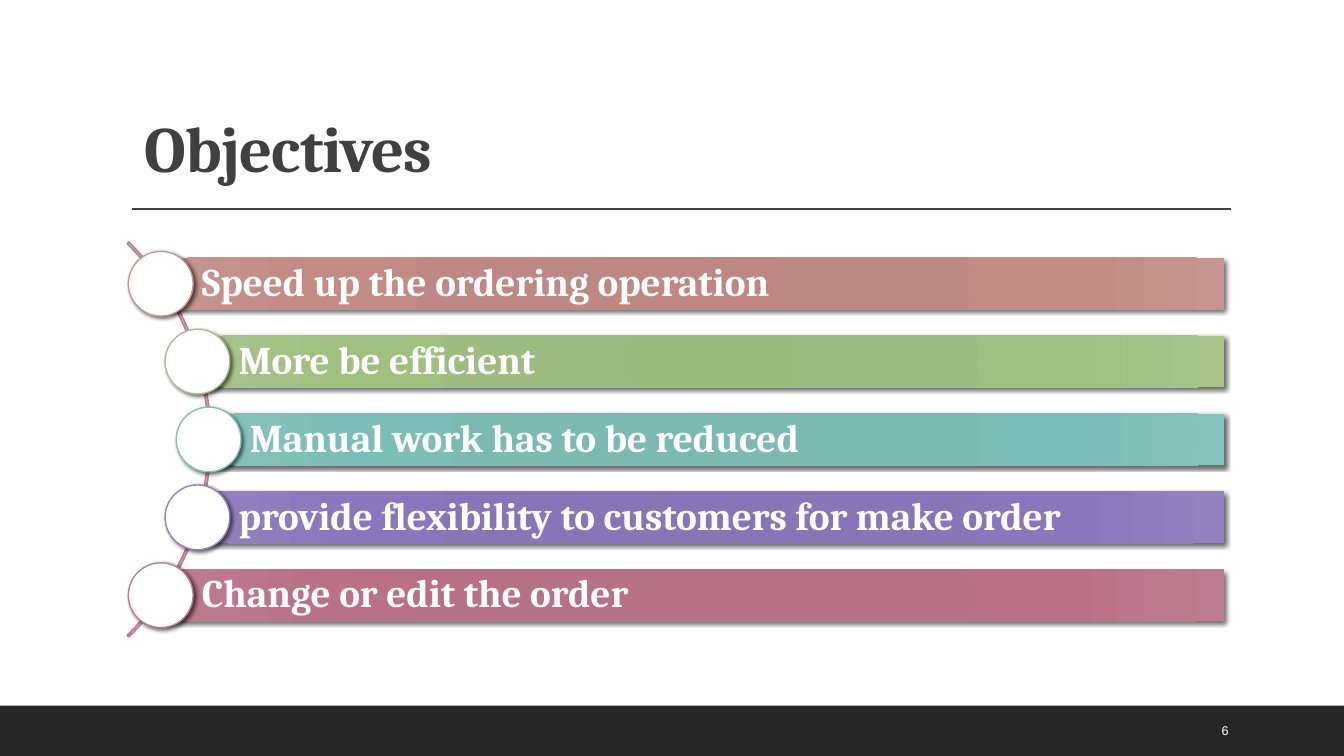
from dataclasses import dataclass
from math import sqrt

from pptx import Presentation
from pptx.dml.color import RGBColor
from pptx.enum.shapes import MSO_CONNECTOR, MSO_SHAPE
from pptx.enum.text import MSO_ANCHOR, PP_ALIGN
from pptx.oxml import parse_xml
from pptx.oxml.ns import nsdecls, qn
from pptx.util import Emu, Inches, Pt

COLUMNS, ROWS = 160, 90
MIDDLE_COLUMN, MIDDLE_ROW = -8.16, 52.32
ARC_SIZE = 66.48
BULLET_RADIUS = 33
BAR_RIGHT, BAR_HEIGHT, BAR_PITCH = 145.7, 6.17, 9.27
BULLET_SIZE = 7.71
GRADIENT_STOPS = (0, 34, 70, 100)
DARK = "404040"
WHITE = "FFFFFF"


@dataclass(frozen=True)
class Area:
    column: float
    row: float
    columns: float
    rows: float


@dataclass(frozen=True)
class Objective:
    wording: str
    shades: tuple[str, str, str, str]
    outline: str


OBJECTIVES = (
    Objective("Speed up the ordering operation",
              ("BE8781", "BE8984", "C28B84", "C69590"), "C49792"),
    Objective("More be efficient",
              ("9CBC7C", "9EBC7F", "A0C07F", "A8C48B"), "A8C18D"),
    Objective("Manual work has to be reduced",
              ("78BAB2", "7ABAB3", "7BBEB7", "86C2BB"), "89BFB9"),
    Objective("provide flexibility to customers for make order",
              ("8673B8", "8875B8", "8A76BC", "9381BF"), "9484BC"),
    Objective("Change or edit the order",
              ("B66E85", "B67187", "BA7188", "BD7C91"), "BA7F92"),
)

presentation = Presentation()
presentation.slide_width = Inches(13.333)
presentation.slide_height = Inches(7.5)
slide = presentation.slides.add_slide(presentation.slide_layouts[5])


def color(value: str) -> RGBColor:
    return RGBColor.from_string(value)


def across(columns: float) -> Emu:
    return Emu(round(presentation.slide_width * columns / COLUMNS))


def down(rows: float) -> Emu:
    return Emu(round(presentation.slide_height * rows / ROWS))


def frame(area: Area) -> tuple[Emu, Emu, Emu, Emu]:
    return across(area.column), down(area.row), across(area.columns), down(area.rows)


def add_preset(preset, area: Area, fill: str = "", outline: str = "", width: float = 1):
    preset_shape = slide.shapes.add_shape(preset, *frame(area))
    preset_shape.shadow.inherit = False
    if fill:
        preset_shape.fill.solid()
        preset_shape.fill.fore_color.rgb = color(fill)
    else:
        preset_shape.fill.background()
    if outline:
        preset_shape.line.color.rgb = color(outline)
        preset_shape.line.width = Pt(width)
    else:
        preset_shape.line.fill.background()
    return preset_shape


def write(holder, wording: str, size: float, ink: str, font: str = "Cambria",
          bold: bool = True, spacing: float = 0.9, anchor=MSO_ANCHOR.MIDDLE) -> None:
    body = holder.text_frame
    body.text = wording
    body.word_wrap = True
    body.vertical_anchor = anchor
    paragraph = body.paragraphs[0]
    paragraph.alignment = PP_ALIGN.LEFT
    paragraph.line_spacing = spacing
    lettering = paragraph.runs[0].font
    lettering.name = font
    lettering.size = Pt(size)
    lettering.bold = bold
    lettering.color.rgb = color(ink)


def cast_shadow(caster) -> None:
    effects = caster._element.spPr.find(qn("a:effectLst"))
    effects.append(parse_xml(
        f'<a:outerShdw {nsdecls("a")} blurRad="{Pt(3)}" dist="{Pt(2)}" dir="2700000" '
        'algn="ctr" rotWithShape="0"><a:srgbClr val="000000">'
        '<a:alpha val="60000"/></a:srgbClr></a:outerShdw>'))


def shade(bar, shades: tuple[str, str, str, str]) -> None:
    stops = "".join(
        f'<a:gs pos="{stop * 1000}"><a:srgbClr val="{value}"/></a:gs>'
        for stop, value in zip(GRADIENT_STOPS, shades))
    properties = bar._element.spPr
    properties.replace(properties.find(qn("a:noFill")), parse_xml(
        f'<a:gradFill {nsdecls("a")} rotWithShape="1"><a:gsLst>{stops}</a:gsLst>'
        '<a:path path="circle"><a:fillToRect l="100000" t="100000" '
        'r="100000" b="100000"/></a:path></a:gradFill>'))


def add_objective(objective: Objective, offset: float) -> None:
    center_row = MIDDLE_ROW + offset
    left = MIDDLE_COLUMN + sqrt(BULLET_RADIUS ** 2 - offset ** 2)
    bar = add_preset(MSO_SHAPE.RECTANGLE, Area(
        left, center_row - BAR_HEIGHT / 2, BAR_RIGHT - left, BAR_HEIGHT))
    shade(bar, objective.shades)
    cast_shadow(bar)
    write(bar, objective.wording, 28, WHITE)
    body = bar.text_frame
    body.margin_left = across(4.9)
    body.margin_right = across(0.95)
    body.margin_top = body.margin_bottom = down(0.95)
    bullet = add_preset(MSO_SHAPE.OVAL, Area(
        left - BULLET_SIZE / 2, center_row - BULLET_SIZE / 2, BULLET_SIZE, BULLET_SIZE),
        WHITE, objective.outline)
    cast_shadow(bullet)


def add_heading() -> None:
    title = slide.shapes.title
    title.left, title.top, title.width, title.height = frame(Area(14.4, 3.72, 132, 19.08))
    write(title, "Objectives", 46, DARK, anchor=MSO_ANCHOR.BOTTOM)
    title.text_frame.margin_left = across(2.8)
    title.text_frame.paragraphs[0].runs[0].font._element.set("spc", "-50")
    rule = slide.shapes.add_connector(
        MSO_CONNECTOR.STRAIGHT, across(15.72), down(24.9), across(146.5), down(24.9))
    rule.line.color.rgb = color(DARK)
    rule.line.width = Pt(1)
    rule._element.spPr.append(parse_xml(f'<a:effectLst {nsdecls("a")}/>'))


def add_footer() -> None:
    add_preset(MSO_SHAPE.RECTANGLE, Area(0, 84, COLUMNS, 6), "262626")
    page_number = slide.shapes.add_textbox(*frame(Area(144.24, 84.6, 10.2, 4.8)))
    write(page_number, "6", 9, WHITE, "Arial", False, 1.0)


def main() -> None:
    add_footer()
    add_heading()
    arc = add_preset(MSO_SHAPE.BLOCK_ARC, Area(
        MIDDLE_COLUMN - ARC_SIZE / 2, MIDDLE_ROW - ARC_SIZE / 2, ARC_SIZE, ARC_SIZE),
        outline="BA7F92", width=1.25)
    for index, amount in enumerate((189, 27, 0.004)):
        arc.adjustments[index] = amount
    for index, objective in enumerate(OBJECTIVES):
        add_objective(objective, (index - len(OBJECTIVES) // 2) * BAR_PITCH)
    presentation.save("out.pptx")


if __name__ == "__main__":
    main()
